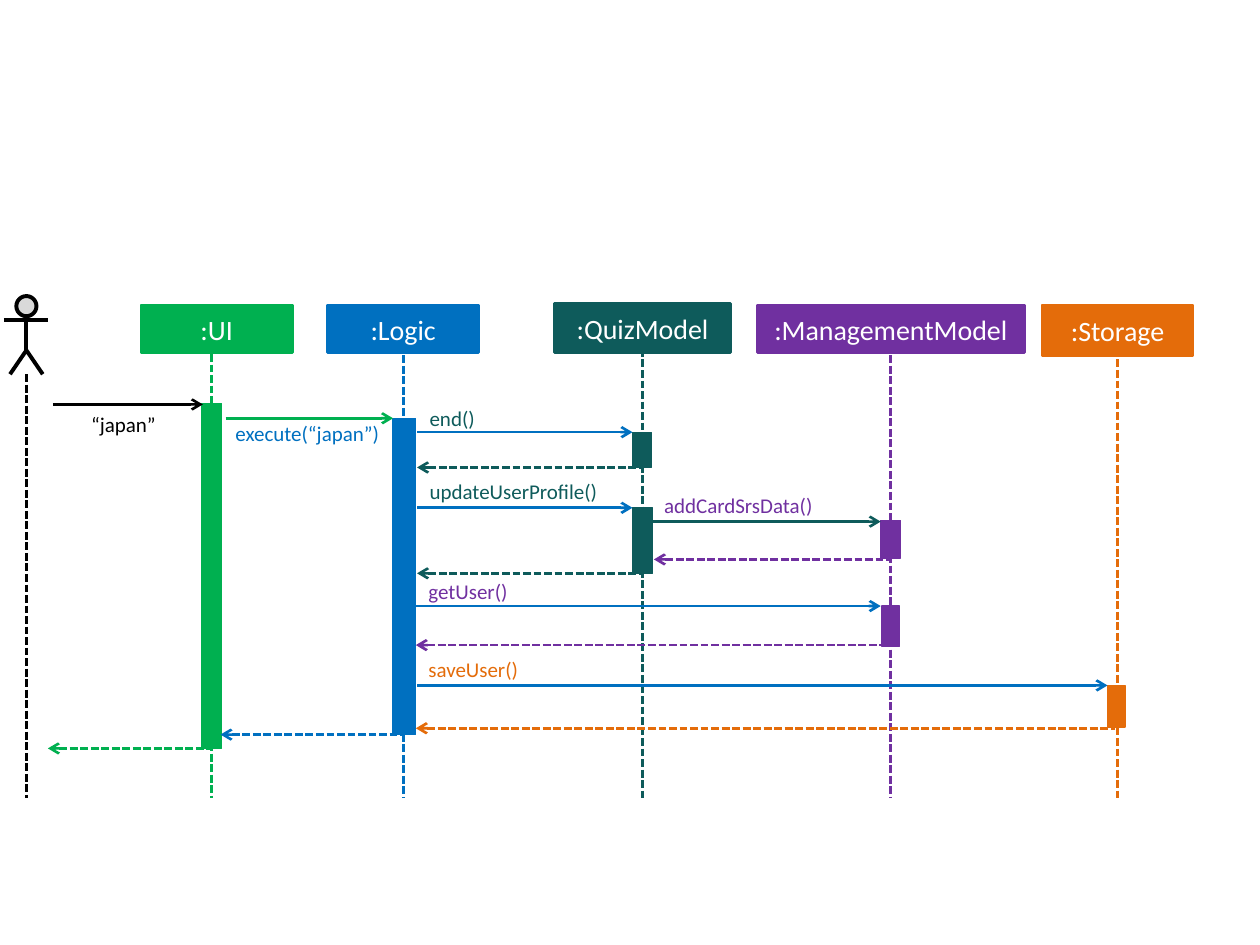
from lxml import etree
from pptx import Presentation
from pptx.dml.color import RGBColor
from pptx.enum.dml import MSO_LINE_DASH_STYLE as Dash
from pptx.enum.shapes import MSO_CONNECTOR as Connector, MSO_SHAPE as Shape
from pptx.enum.text import MSO_ANCHOR as Anchor, MSO_AUTO_SIZE as AutoSize, PP_ALIGN as Align
from pptx.oxml.ns import qn
from pptx.util import Inches, Pt

COLORS = {
    "user": "000000", "head": "D9D9D9", "white": "FFFFFF", "ui": "00B050",
    "logic": "0070C0", "quiz": "0E5B5B", "management": "7030A0", "storage": "E46C0A",
}
LIFELINE_END = 6.33

# name: label, header box, lifeline x, lifeline top
PARTICIPANTS = {
    "ui": (":UI", (1.12, 2.42, 1.2, 0.38), 1.68, 2.81),
    "logic": (":Logic", (2.6, 2.42, 1.2, 0.38), 3.2, 2.82),
    "management": (":ManagementModel", (6.01, 2.42, 2.12, 0.38), 7.07, 2.82),
    "storage": (":Storage", (8.27, 2.42, 1.2, 0.4), 8.87, 2.77),
    "quiz": (":QuizModel", (4.4, 2.41, 1.4, 0.39), 5.1, 2.77),
}

# participant, activation box
ACTIVATIONS = [
    ("ui", (1.6, 3.2, 0.16, 2.74)),
    ("logic", (3.12, 3.32, 0.18, 2.51)),
    ("quiz", (5.02, 3.43, 0.15, 0.28)),
    ("quiz", (5.02, 4.03, 0.16, 0.52)),
    ("management", (6.99, 4.13, 0.16, 0.3)),
    ("management", (7, 4.81, 0.14, 0.32)),
    ("storage", (8.79, 5.44, 0.14, 0.33)),
]

# sender, left x, right x, y
CALLS = [
    ("user", 0.42, 1.61, 3.21),
    ("ui", 1.79, 3.12, 3.32),
    ("logic", 3.31, 5.02, 3.43),
    ("logic", 3.31, 5.02, 4.03),
    ("quiz", 5.18, 6.99, 4.14),
    ("logic", 3.3, 6.99, 4.81),
    ("logic", 3.31, 8.79, 5.44),
]
RETURNS = [
    ("quiz", 3.31, 5.1, 3.71),
    ("management", 5.19, 7.07, 4.44),
    ("quiz", 3.31, 5.1, 4.55),
    ("management", 3.3, 7.08, 5.12),
    ("storage", 3.3, 8.85, 5.78),
    ("logic", 1.75, 3.21, 5.83),
    ("ui", 0.38, 1.68, 5.94),
]

# text, colour, box, alignment
LABELS = [
    ("“japan”", "user", (0.51, 3.27, 0.94, 0.2), Align.CENTER),
    ("execute(“japan”)", "logic", (1.66, 3.34, 1.56, 0.2), Align.CENTER),
    ("end()", "quiz", (3.41, 3.22, 1.46, 0.2), Align.LEFT),
    ("updateUserProfile()", "quiz", (3.41, 3.8, 1.46, 0.2), Align.LEFT),
    ("addCardSrsData()", "management", (5.27, 3.91, 1.29, 0.2), Align.LEFT),
    ("getUser()", "management", (3.4, 4.59, 1.46, 0.2), Align.LEFT),
    ("saveUser()", "storage", (3.4, 5.21, 1.46, 0.2), Align.LEFT),
]


def rgb(name):
    return RGBColor.from_string(COLORS[name])


def add_text(frame, text, size, color, align):
    para = frame.paragraphs[0]
    para.alignment = align
    span = para.add_run()
    span.text = text
    span.font.name = "Calibri"
    span.font.size = Pt(size)
    span.font.color.rgb = rgb(color)


def add_block(page, kind, box, fill, outline, width):
    block = page.shapes.add_shape(kind, *map(Inches, box))
    block.shadow.inherit = False
    block.fill.solid()
    block.fill.fore_color.rgb = rgb(fill)
    block.line.color.rgb = rgb(outline)
    block.line.width = Pt(width)
    return block


def add_line(page, start, end, color, width=1.5, dashed=False, arrow=None):
    """arrow is headEnd (at the start) or tailEnd (at the end)."""
    line = page.shapes.add_connector(Connector.STRAIGHT, *map(Inches, (*start, *end)))
    line.line.color.rgb = rgb(color)
    line.line.width = Pt(width)
    if dashed:
        line.line.dash_style = Dash.SQUARE_DOT
    if arrow:
        etree.SubElement(line.line._get_or_add_ln(), qn("a:" + arrow), type="arrow")
    etree.SubElement(line._element.spPr, qn("a:effectLst"))


def add_participant(page, name, label, box, x, top):
    header = add_block(page, Shape.RECTANGLE, box, name, name, 1.5)
    frame = header.text_frame
    frame.margin_left = frame.margin_right = 0
    frame.vertical_anchor = Anchor.MIDDLE
    add_text(frame, label, 16, "white", Align.CENTER)
    add_line(page, (x, top), (x, LIFELINE_END), name, dashed=True)


def add_user(page, left, top):
    center, hip = left + 0.18, top + 0.43
    add_block(page, Shape.FLOWCHART_CONNECTOR, (left + 0.1, top, 0.16, 0.16), "head", "user", 2.25)
    add_line(page, (center, top + 0.15), (center, hip), "user", 2.25)
    add_line(page, (left, top + 0.19), (left + 0.35, top + 0.19), "user", 2.25)
    # Legs
    foot = hip + 0.19
    outline = page.shapes.build_freeform(Inches(center - 0.13), Inches(foot))
    outline.add_line_segments(
        [(Inches(center), Inches(hip)), (Inches(center + 0.13), Inches(foot))], close=False)
    legs = outline.convert_to_shape()
    legs.shadow.inherit = False
    legs.fill.background()
    legs.line.color.rgb = rgb("user")
    legs.line.width = Pt(2.25)
    add_line(page, (center, foot), (center, LIFELINE_END), "user", dashed=True)


def add_label(page, text, color, box, align):
    frame = page.shapes.add_textbox(*map(Inches, box)).text_frame
    frame.margin_left = frame.margin_right = frame.margin_top = frame.margin_bottom = 0
    frame.word_wrap = True
    frame.auto_size = AutoSize.SHAPE_TO_FIT_TEXT
    add_text(frame, text, 12, color, align)


def add_sequence_diagram(page):
    # Participants and lifelines
    add_user(page, 0.03, 2.35)
    for name, details in PARTICIPANTS.items():
        add_participant(page, name, *details)
    # Activation bars
    for name, box in ACTIVATIONS:
        add_block(page, Shape.RECTANGLE, box, name, name, 0.75)
    # Messages
    for name, left, right, y in CALLS:
        add_line(page, (left, y), (right, y), name, arrow="tailEnd")
    for name, left, right, y in RETURNS:
        add_line(page, (left, y), (right, y), name, dashed=True, arrow="headEnd")
    for label in LABELS:
        add_label(page, *label)


deck = Presentation()
deck.slide_width, deck.slide_height = Inches(10), Inches(7.5)
add_sequence_diagram(deck.slides.add_slide(deck.slide_layouts[6]))
deck.save("out.pptx")
